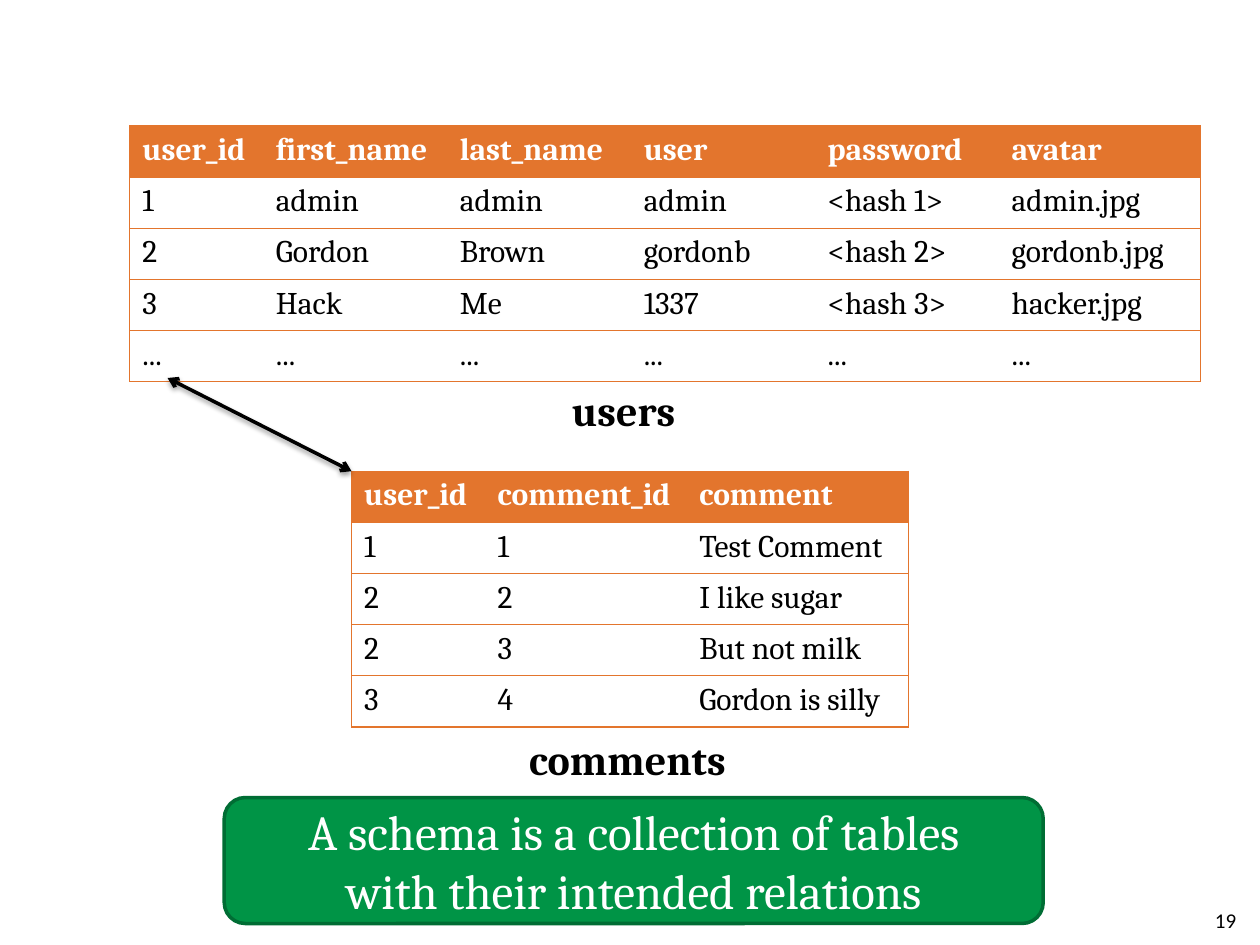
from dataclasses import dataclass

from lxml import etree
from pptx import Presentation
from pptx.dml.color import RGBColor
from pptx.enum import shapes, text
from pptx.oxml import parse_xml
from pptx.oxml.ns import nsdecls, qn
from pptx.util import Inches, Pt


@dataclass(frozen=True)
class Theme:
    orange: str = "E3752D"
    green: str = "009446"
    dark_green: str = "006D34"
    black: str = "000000"
    white: str = "FFFFFF"
    serif: str = "Cambria"
    sans: str = "Calibri"
    number_size: int = 12
    cell_size: int = 18
    name_size: int = 24
    banner_size: int = 28
    rule_width: float = 0.75
    line_width: float = 2


@dataclass(frozen=True)
class DbTable:
    left: float
    top: float
    widths: tuple[float, ...]
    rows: tuple[tuple[str, ...], ...]


@dataclass(frozen=True)
class Label:
    text: str
    left: float
    top: float
    width: float
    height: float
    size: int
    font: str
    bold: bool = False
    wrap: bool = False
    align: text.PP_ALIGN = text.PP_ALIGN.LEFT
    anchor: text.MSO_ANCHOR = text.MSO_ANCHOR.TOP


THEME = Theme()
ROW_HEIGHT = 2.03 / 5

USERS = DbTable(1.03, 1, (1.06, 1.46, 1.46, 1.46, 1.46, 1.6), (
    ("user_id", "first_name", "last_name", "user", "password", "avatar"),
    ("1", "admin", "admin", "admin", "<hash 1>", "admin.jpg"),
    ("2", "Gordon", "Brown", "gordonb", "<hash 2>", "gordonb.jpg"),
    ("3", "Hack", "Me", "1337", "<hash 3>", "hacker.jpg"),
    ("...",) * 6,
))
COMMENTS = DbTable(2.79, 3.74, (1.06, 1.6, 1.76), (
    ("user_id", "comment_id", "comment"),
    ("1", "1", "Test Comment"),
    ("2", "2", "I like sugar"),
    ("2", "3", "But not milk"),
    ("3", "4", "Gordon is silly"),
))
LABELS = (
    Label("19", 7.58, 7.1, 2.33, 0.4, THEME.number_size, THEME.sans, wrap=True,
          align=text.PP_ALIGN.RIGHT, anchor=text.MSO_ANCHOR.MIDDLE),
    Label("users", 4.44, 3, 1.05, 0.5, THEME.name_size, THEME.serif, bold=True),
    Label("comments", 4.1, 5.77, 1.81, 0.5, THEME.name_size, THEME.serif, bold=True),
)


def rgb(color: str) -> RGBColor:
    return RGBColor.from_string(color)


def style_runs(tf, size: int, color: str, font: str = THEME.serif,
               bold: bool = False) -> None:
    for p in tf.paragraphs:
        for r in p.runs:
            r.font.size = Pt(size)
            r.font.name = font
            r.font.bold = bold
            r.font.color.rgb = rgb(color)


def set_borders(cell, is_first: bool, is_last: bool) -> None:
    """Rule above and below each cell; side rules only at the table's edges."""
    tc_pr = cell._tc.get_or_add_tcPr()
    sides = {"lnL": is_first, "lnR": is_last, "lnT": True, "lnB": True}
    for tag, visible in sides.items():
        ln = etree.SubElement(tc_pr, qn(f"a:{tag}"), w=str(Pt(THEME.rule_width)))
        if visible:
            fill = etree.SubElement(ln, qn("a:solidFill"))
            etree.SubElement(fill, qn("a:srgbClr"), val=THEME.orange)
        else:
            etree.SubElement(ln, qn("a:noFill"))


def add_db_table(s, db: DbTable) -> None:
    n_rows, n_cols = len(db.rows), len(db.widths)
    table = s.shapes.add_table(
        n_rows, n_cols, Inches(db.left), Inches(db.top),
        Inches(sum(db.widths)), Inches(n_rows * ROW_HEIGHT)).table
    table.horz_banding = False
    for column, width in zip(table.columns, db.widths):
        column.width = Inches(width)
    for i, row in enumerate(db.rows):
        table.rows[i].height = Inches(ROW_HEIGHT)
        is_header = i == 0
        for j, value in enumerate(row):
            cell = table.cell(i, j)
            cell.text_frame.text = value
            style_runs(cell.text_frame, THEME.cell_size,
                       THEME.white if is_header else THEME.black, bold=is_header)
            set_borders(cell, j == 0, j == n_cols - 1)
            if is_header:
                cell.fill.solid()
                cell.fill.fore_color.rgb = rgb(THEME.orange)
            else:
                cell.fill.background()


def add_label(s, label: Label) -> None:
    sp = s.shapes.add_textbox(Inches(label.left), Inches(label.top),
                              Inches(label.width), Inches(label.height))
    tf = sp.text_frame
    tf.text = label.text
    tf.word_wrap = label.wrap
    if not label.wrap:
        tf.auto_size = text.MSO_AUTO_SIZE.SHAPE_TO_FIT_TEXT
    tf.vertical_anchor = label.anchor
    tf.paragraphs[0].alignment = label.align
    style_runs(tf, label.size, THEME.black, label.font, label.bold)


def add_banner(s) -> None:
    sp = s.shapes.add_shape(shapes.MSO_SHAPE.ROUNDED_RECTANGLE, Inches(1.78),
                            Inches(6.33), Inches(6.5), Inches(1))
    sp.shadow.inherit = False
    sp.fill.solid()
    sp.fill.fore_color.rgb = rgb(THEME.green)
    sp.line.color.rgb = rgb(THEME.dark_green)
    sp.line.width = Pt(THEME.line_width)
    tf = sp.text_frame
    tf.word_wrap = True
    tf.vertical_anchor = text.MSO_ANCHOR.MIDDLE
    tf.text = "A schema is a collection of tables\vwith their intended relations"
    tf.paragraphs[0].alignment = text.PP_ALIGN.CENTER
    style_runs(tf, THEME.banner_size, THEME.white)


def add_relation_arrow(s) -> None:
    """Double-headed arrow between the two user_id columns, with a soft shadow."""
    line = s.shapes.add_connector(
        shapes.MSO_CONNECTOR.STRAIGHT, Inches(1.33), Inches(3),
        Inches(COMMENTS.left), Inches(COMMENTS.top))
    line.line.color.rgb = rgb(THEME.black)
    line.line.width = Pt(THEME.line_width)
    ln = line.line._get_or_add_ln()
    for tag in ("headEnd", "tailEnd"):
        etree.SubElement(ln, qn(f"a:{tag}"), type="arrow")
    line._element.spPr.append(parse_xml(
        f'<a:effectLst {nsdecls("a")}>'
        f'<a:outerShdw blurRad="{Pt(3.1)}" dist="{Pt(1.6)}" dir="5400000" rotWithShape="0">'
        f'<a:srgbClr val="{THEME.black}"><a:alpha val="38000"/></a:srgbClr>'
        '</a:outerShdw></a:effectLst>'))


def main() -> None:
    prs = Presentation()
    prs.slide_width, prs.slide_height = Inches(10), Inches(7.5)
    s = prs.slides.add_slide(prs.slide_layouts[6])
    add_banner(s)
    for db in (USERS, COMMENTS):
        add_db_table(s, db)
    for label in LABELS:
        add_label(s, label)
    add_relation_arrow(s)
    prs.save("out.pptx")


if __name__ == "__main__":
    main()
